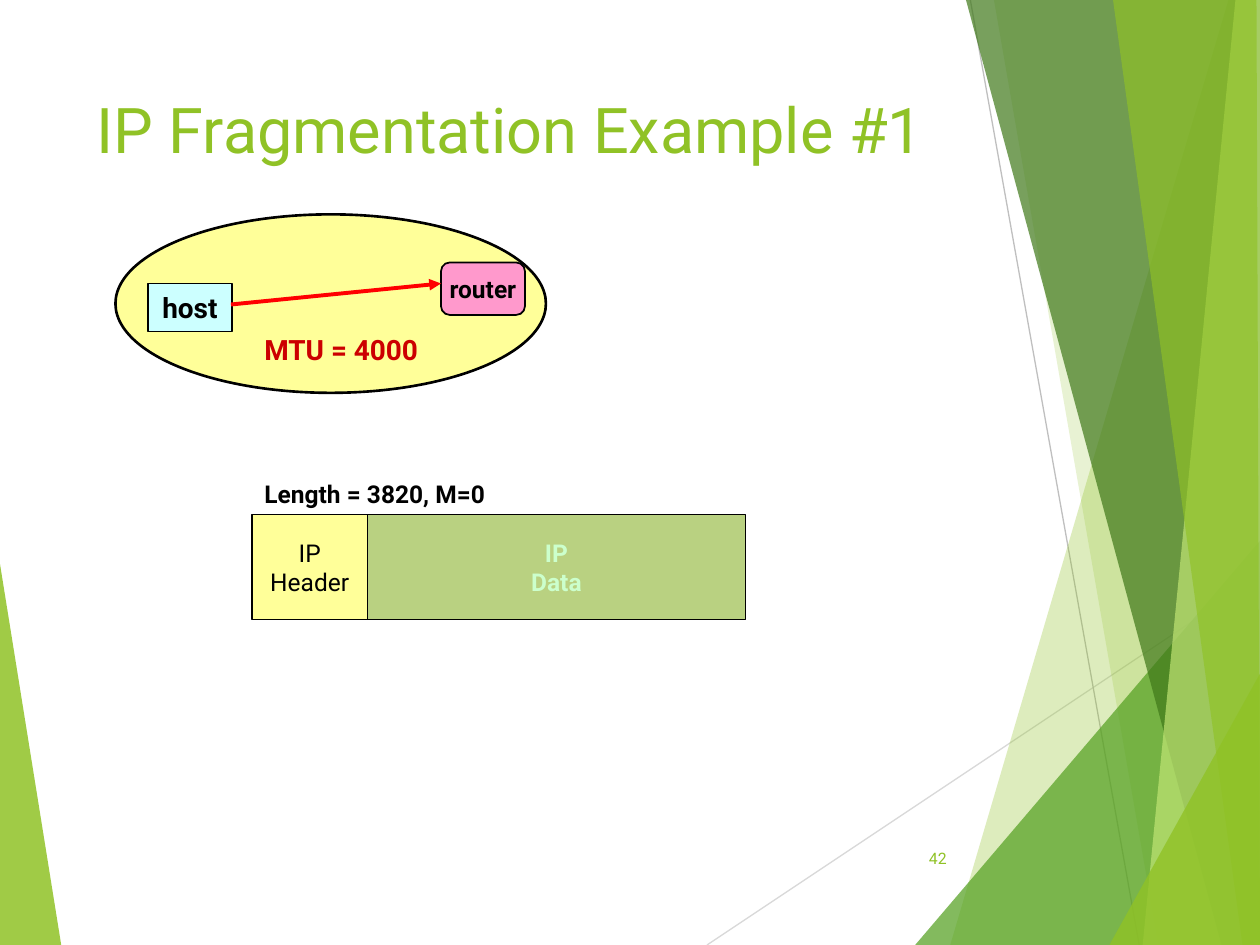
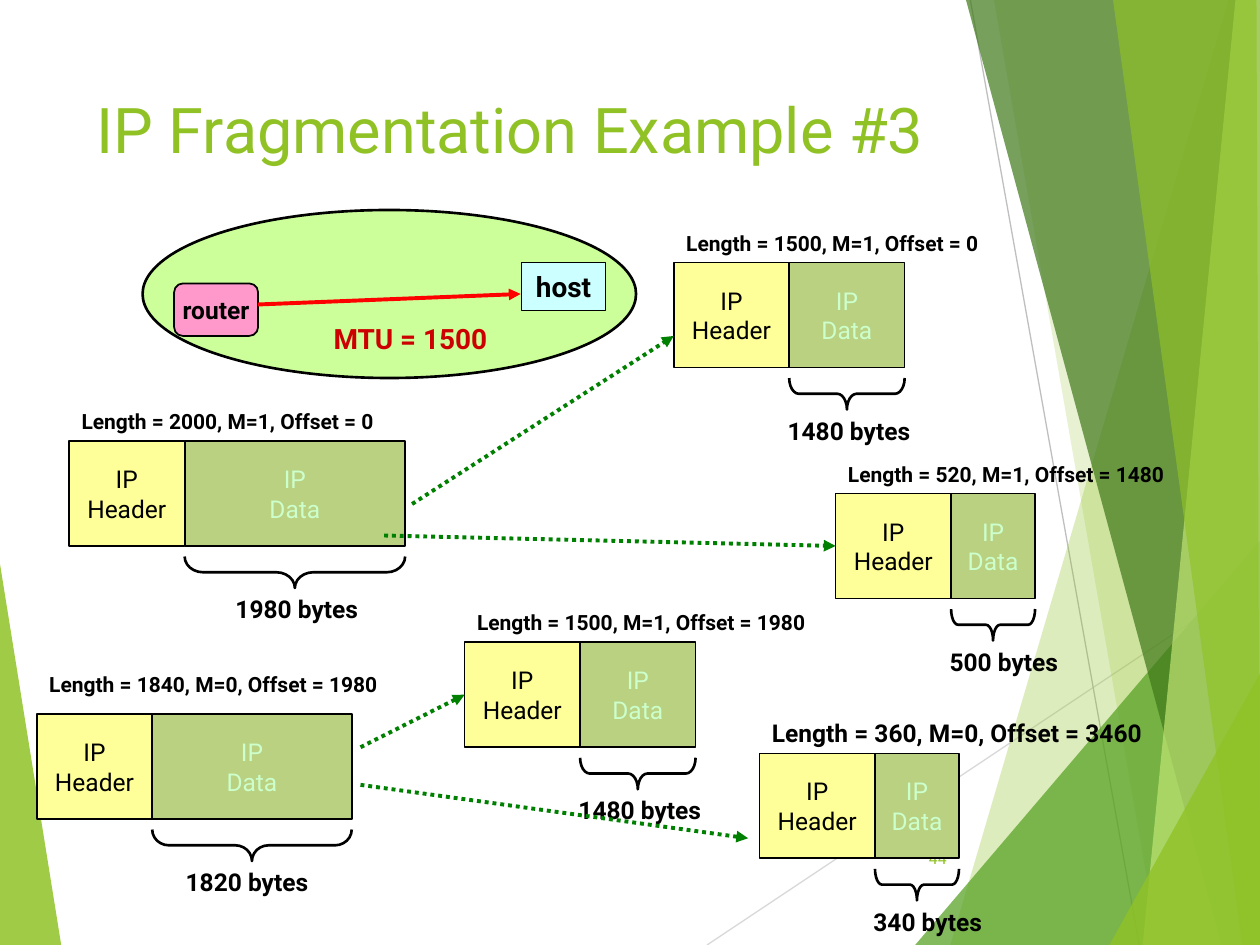
import pptx
import pptx.util
import pptx.dml.color
import pptx.enum.dml
import pptx.enum.shapes
import pptx.enum.text
import pptx.oxml.ns
import lxml.etree

Pt = pptx.util.Pt
qn = pptx.oxml.ns.qn
SHAPE = pptx.enum.shapes.MSO_SHAPE
ALIGN = pptx.enum.text.PP_ALIGN
ANCHOR = pptx.enum.text.MSO_ANCHOR

FONT = "Roboto"
WIDTH, HEIGHT = 720, 540
COLORS = {
    "lime": "90C226", "leaf": "54A021", "forest": "3F7819", "pale_lime": "C0E474",
    "light_gray": "D9D9D9", "gray": "BFBFBF", "black": "000000", "yellow": "FFFF99",
    "mint": "CCFF99", "cyan": "CCFFFF", "pink": "FF99CC", "red": "FF0000",
    "dark_red": "CC0000", "sage": "B9D181", "pale_mint": "CCFFCC", "green": "008000",
}

LEFT_WEDGE = ("lime", 85, [(-0.7, 316), (35.3, 540.5), (-0.7, 540)])
THIN_LINES = [
    ("light_gray", (404, 540), (720.5, 329)),
    ("gray", (554.5, 0), (651, 540)),
]
RIGHT_FACETS = [
    ("lime", 30, [(702, 0), (543, 540), (721, 540.5), (720.5, 0.5)]),
    ("lime", 20, [(567.5, -0.5), (662, 540), (720.5, 540), (720.5, -0.5)]),
    ("leaf", 72, [(523, 540), (720, 309), (720.5, 540)]),
    ("forest", 70, [(552.5, -0.5), (698.5, 540), (720.5, 539.5), (720.5, -0.5)]),
    ("pale_lime", 70, [(706.5, -0.5), (653, 540), (720.5, 540), (720, -0.5)]),
    ("lime", 65, [(636, -0.5), (710, 540), (720, 540), (718.5, -0.5)]),
    ("lime", 80, [(634.5, 540), (720.5, 385), (720.5, 539.5)]),
]

HEADER_WIDTH, PACKET_HEIGHT = 66, 60
BRACE_DEPTH, BRACE_GAP, BYTES_GAP = 18, 6, 24

SLIDES = [
    {
        "title": "IP Fragmentation Example #1", "number": "42",
        "network": {
            "oval": (66, 122.5, 246, 102), "fill": "yellow",
            "host": (84.5, 162), "router": (252, 150),
            "mtu": ("MTU = 4000", 144, 186.5),
            "arrow": ((132, 174), (252, 162)),
        },
        "packets": [
            {"at": (144, 294), "data": 216, "bold": True,
             "length": ("Length = 3820, M=0", 14, 156, 24)},
        ],
        "arrows": [],
    },
    {
        "title": "IP Fragmentation Example #3", "number": "44",
        "network": {
            "oval": (81.5, 120, 282, 96), "fill": "mint",
            "host": (298, 150), "router": (99.5, 162),
            "mtu": ("MTU = 1500", 183.5, 180),
            "arrow": ((147.5, 174), (297.5, 168)),
        },
        "packets": [
            {"at": (39.5, 252), "data": 126, "bytes": ("1980 bytes", 22, 92),
             "length": ("Length = 2000, M=1, Offset = 0", 12, 212, 22)},
            {"at": (21, 408), "data": 114, "bytes": ("1820 bytes", 12, 92),
             "length": ("Length = 1840, M=0, Offset = 1980", 12, 234, 28)},
            {"at": (385, 150), "data": 66, "bytes": ("1480 bytes", -8, 92),
             "length": ("Length = 1500, M=1, Offset = 0", 12, 212, 22)},
            {"at": (477.5, 282), "data": 48, "bytes": ("500 bytes", -8, 84),
             "length": ("Length = 520, M=1, Offset = 1480", 12, 227, 22)},
            {"at": (265.5, 367), "data": 66, "bytes": ("1480 bytes", -8, 92),
             "length": ("Length = 1500, M=1, Offset = 1980", 12, 234, 22)},
            {"at": (434, 430.5), "data": 48, "bytes": ("340 bytes", -8, 84),
             "length": ("Length = 360, M=0, Offset = 3460", 14, 261, 24)},
        ],
        "arrows": [
            ((235.5, 288), (385, 192), None),
            ((219.5, 306), (477.5, 312), 3),
            ((206, 427), (265.5, 397), 4),
            ((206, 448.5), (427.5, 479), None),
        ],
    },
]


def rgb(color):
    return pptx.dml.color.RGBColor.from_string(COLORS[color])


def write(shape, text, size, color, bold=False, align=ALIGN.LEFT, anchor=ANCHOR.TOP, wrap=True):
    frame = shape.text_frame
    frame.text = text
    frame.word_wrap = wrap
    frame.vertical_anchor = anchor
    for para in frame.paragraphs:
        para.alignment = align
        for span in para.runs:
            span.font.name = FONT
            span.font.size = Pt(size)
            span.font.bold = bold
            span.font.color.rgb = rgb(color)


def add_label(page, text, left, top, width, height, size, color="black", bold=True, **layout):
    box = page.shapes.add_textbox(Pt(left), Pt(top), Pt(width), Pt(height))
    write(box, text, size, color, bold, **layout)


def add_block(page, kind, left, top, width, height, fill=None, weight=1.0):
    block = page.shapes.add_shape(kind, Pt(left), Pt(top), Pt(width), Pt(height))
    block.shadow.inherit = False
    if fill:
        block.fill.solid()
        block.fill.fore_color.rgb = rgb(fill)
    else:
        block.fill.background()
    block.line.color.rgb = rgb("black")
    block.line.width = Pt(weight)
    return block


def add_line(page, start, end, color, weight, arrow=False, dotted=False):
    line = page.shapes.add_connector(
        pptx.enum.shapes.MSO_CONNECTOR.STRAIGHT, *[Pt(value) for value in start + end])
    line.line.color.rgb = rgb(color)
    line.line.width = Pt(weight)
    if dotted:
        line.line.dash_style = pptx.enum.dml.MSO_LINE.ROUND_DOT
    outline = line.element.find(".//" + qn("a:ln"))
    if arrow:
        lxml.etree.SubElement(outline, qn("a:tailEnd"), type="triangle")
    lxml.etree.SubElement(outline.getparent(), qn("a:effectLst"))
    return line


def add_facet(page, color, opacity, points):
    builder = page.shapes.build_freeform(*points[0], scale=float(Pt(1)))
    builder.add_line_segments(points[1:], close=True)
    facet = builder.convert_to_shape()
    facet.shadow.inherit = False
    facet.fill.solid()
    facet.fill.fore_color.rgb = rgb(color)
    facet.line.fill.background()
    tint = facet.element.find(".//" + qn("a:srgbClr"))
    lxml.etree.SubElement(tint, qn("a:alpha"), val=str(opacity * 1000))
    return facet


def decorate_layout(layout, page):
    parts = [add_facet(page, *LEFT_WEDGE)]
    parts += [add_line(page, start, end, color, 0.75) for color, start, end in THIN_LINES]
    parts += [add_facet(page, *facet) for facet in RIGHT_FACETS]
    for index, part in enumerate(parts, start=2):
        layout.shapes.element.insert(index, part.element)


def add_heading(page, title, number):
    heading = page.shapes.title
    heading.left, heading.top, heading.width, heading.height = Pt(48), Pt(48), Pt(500), Pt(104)
    write(heading, title, 36, "lime")
    add_label(page, number, 507.5, 476, 40.5, 28.5, 9, "lime", False,
              align=ALIGN.RIGHT, anchor=ANCHOR.MIDDLE)


def add_network(page, network):
    centred = {"align": ALIGN.CENTER, "anchor": ANCHOR.MIDDLE, "wrap": False}
    add_block(page, SHAPE.OVAL, *network["oval"], network["fill"], 1.5)
    host = add_block(page, SHAPE.RECTANGLE, *network["host"], 48, 27.5, "cyan")
    write(host, "host", 16, "black", True, **centred)
    router = add_block(page, SHAPE.ROUNDED_RECTANGLE, *network["router"], 48, 30, "pink")
    write(router, "router", 14, "black", True, **centred)
    text, left, top = network["mtu"]
    add_label(page, text, left, top, 114.5, 26.5, 16, "dark_red")
    add_line(page, *network["arrow"], "red", 2.25, arrow=True)


def add_packet(page, packet):
    left, top = packet["at"]
    data_left, data_width = left + HEADER_WIDTH, packet["data"]
    bottom = top + PACKET_HEIGHT
    centred = {"align": ALIGN.CENTER, "anchor": ANCHOR.MIDDLE}

    header = add_block(page, SHAPE.RECTANGLE, left, top, HEADER_WIDTH, PACKET_HEIGHT, "yellow")
    write(header, "IP\nHeader", 14, "black", **centred)
    data = add_block(page, SHAPE.RECTANGLE, data_left, top, data_width, PACKET_HEIGHT, "sage")
    write(data, "IP\nData", 14, "pale_mint", packet.get("bold", False), **centred)

    text, size, width, lift = packet["length"]
    add_label(page, text, left, top - lift, width, 24, size)

    if "bytes" in packet:
        brace_left = data_left + (data_width - BRACE_DEPTH) / 2
        brace_top = bottom + BRACE_GAP + (BRACE_DEPTH - data_width) / 2
        brace = add_block(page, SHAPE.LEFT_BRACE, brace_left, brace_top,
                          BRACE_DEPTH, data_width, weight=1.5)
        brace.rotation = 270
        brace.adjustments[0] = data_width / 12 / BRACE_DEPTH
        text, shift, width = packet["bytes"]
        add_label(page, text, data_left + shift, bottom + BYTES_GAP, width, 24, 14)
    return header


def main():
    deck = pptx.Presentation()
    deck.slide_width, deck.slide_height = Pt(WIDTH), Pt(HEIGHT)
    layout = deck.slide_layouts[5]
    for index, content in enumerate(SLIDES):
        page = deck.slides.add_slide(layout)
        if index == 0:
            decorate_layout(layout, page)
        add_heading(page, content["title"], content["number"])
        add_network(page, content["network"])
        headers = [add_packet(page, packet) for packet in content["packets"]]
        for start, end, target in content["arrows"]:
            arrow = add_line(page, start, end, "green", 2.25, arrow=True, dotted=True)
            if target is not None:
                arrow.end_connect(headers[target], 1)
    deck.save("out.pptx")


if __name__ == "__main__":
    main()
